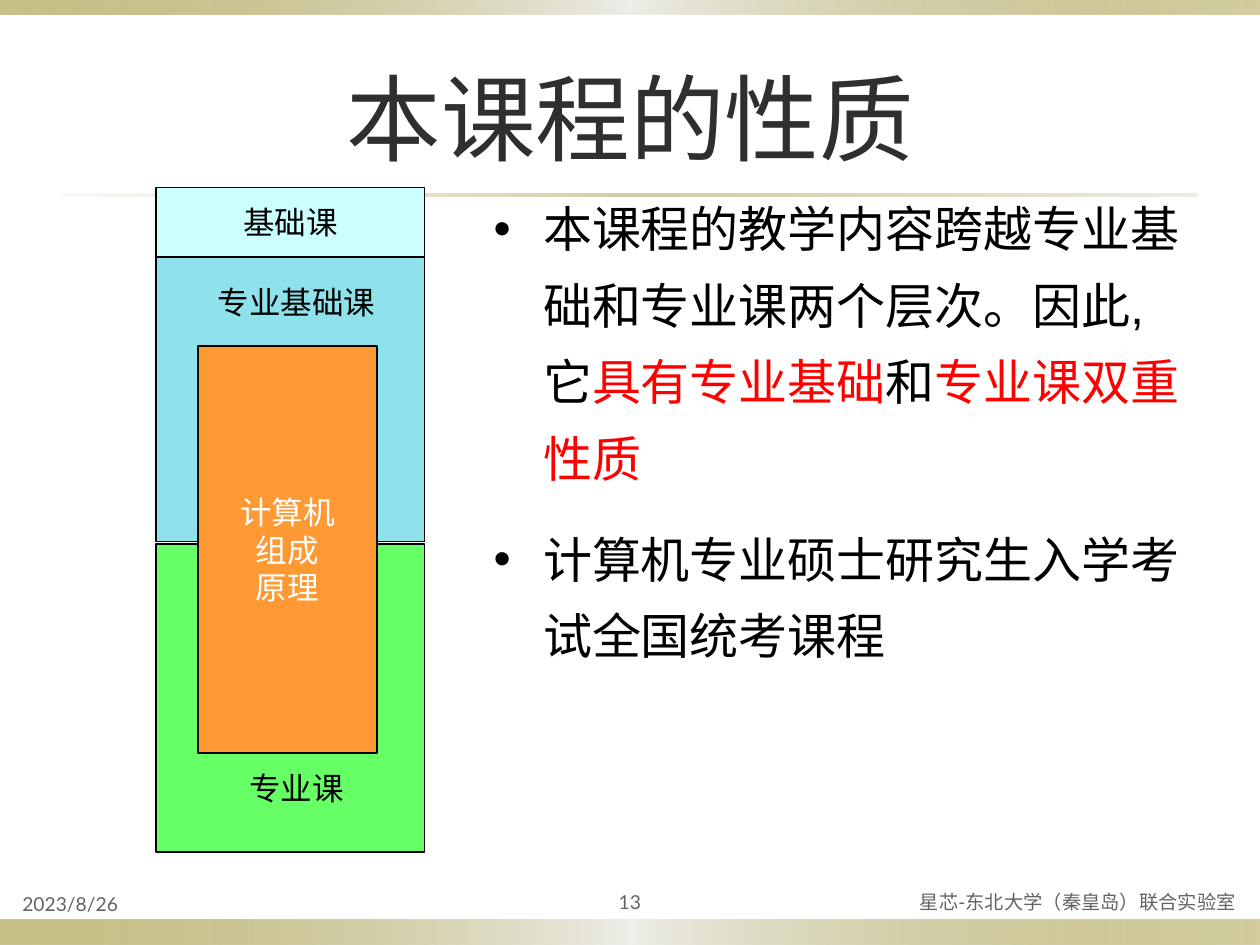
"""Build the slide on the nature of the course."""
from lxml import etree
from pptx import Presentation
from pptx.dml.color import RGBColor
from pptx.enum import shapes, text
from pptx.oxml import ns
from pptx.util import Cm, Pt

BLACK = RGBColor(0, 0, 0)
WHITE = RGBColor(255, 255, 255)
RED = RGBColor(255, 0, 0)
CHARCOAL = RGBColor(0x2F, 0x2F, 0x2F)
GREY = RGBColor(0x63, 0x63, 0x63)
OLIVE = RGBColor(0x91, 0x84, 0x15)
SAND = RGBColor(0xDC, 0xD9, 0xCC)
PEARL = RGBColor(0xEE, 0xED, 0xE8)
ICE = RGBColor(0xCC, 0xFF, 0xFF)
AQUA = RGBColor(0x8F, 0xE2, 0xEB)
GREEN = RGBColor(0x66, 0xFF, 0x66)
ORANGE = RGBColor(0xFF, 0x99, 0x33)

LEFT, CENTER, RIGHT = text.PP_ALIGN.LEFT, text.PP_ALIGN.CENTER, text.PP_ALIGN.RIGHT
MIDDLE, BOTTOM = text.MSO_ANCHOR.MIDDLE, text.MSO_ANCHOR.BOTTOM


class Deck:
    def __init__(self, prs, font="Lato"):
        self.font = font
        self.s = prs.slides.add_slide(prs.slide_layouts[5])

    def run(self, p, words, size, color, font=None):
        r = p.add_run()
        r.text = words
        r.font.size = Pt(size)
        r.font.name = font or self.font
        r.font.color.rgb = color

    def put_lines(self, tf, lines, size, color, align=CENTER, anchor=MIDDLE, wrap=False, font=None):
        tf.word_wrap = wrap
        tf.vertical_anchor = anchor
        for i, line in enumerate(lines):
            p = tf.add_paragraph() if i else tf.paragraphs[0]
            p.alignment = align
            self.run(p, line, size, color, font)

    def title(self, words, box):
        sp = self.s.shapes.title
        sp.left, sp.top, sp.width, sp.height = map(Cm, box)
        sp.text_frame.auto_size = text.MSO_AUTO_SIZE.NONE
        self.put_lines(sp.text_frame, [words], 54, CHARCOAL, wrap=True)

    def rect(self, box):
        sp = self.s.shapes.add_shape(shapes.MSO_SHAPE.RECTANGLE, *map(Cm, box))
        sp.shadow.inherit = False
        return sp

    def band(self, box, stops):
        sp = self.rect(box)
        sp.line.fill.background()
        sp.fill.gradient()
        sp.fill.gradient_angle = 0
        gs_list = sp.element.spPr.find(ns.qn("a:gradFill")).find(ns.qn("a:gsLst"))
        for old in list(gs_list):
            gs_list.remove(old)
        for pos, (color, opacity) in zip((0, 50, 100), stops):
            gs = etree.SubElement(gs_list, ns.qn("a:gs"), pos=str(pos * 1000))
            clr = etree.SubElement(gs, ns.qn("a:srgbClr"), val=str(color))
            etree.SubElement(clr, ns.qn("a:alpha"), val=str(opacity * 1000))

    def block(self, box, fill, lines=(), color=BLACK, font=None):
        sp = self.rect(box)
        sp.fill.solid()
        sp.fill.fore_color.rgb = fill
        sp.line.color.rgb = BLACK
        sp.line.width = Pt(1)
        self.put_lines(sp.text_frame, lines, 18, color, font=font)

    def label(self, words, box, size=18, color=BLACK, **style):
        sp = self.s.shapes.add_textbox(*map(Cm, box))
        self.put_lines(sp.text_frame, [words], size, color, **style)

    def bullets(self, box, items):
        tf = self.s.shapes.add_textbox(*map(Cm, box)).text_frame
        tf.word_wrap = True
        tf.auto_size = text.MSO_AUTO_SIZE.SHAPE_TO_FIT_TEXT
        for i, item in enumerate(items):
            p = tf.add_paragraph() if i else tf.paragraphs[0]
            p.line_spacing = 1.3
            p.space_before = Pt(14 if i else 0)
            pPr = p._p.get_or_add_pPr()
            pPr.set("marL", str(Cm(1)))
            pPr.set("indent", str(-Cm(1)))
            clr = etree.SubElement(pPr, ns.qn("a:buClr"))
            etree.SubElement(clr, ns.qn("a:srgbClr"), val=str(BLACK))
            etree.SubElement(pPr, ns.qn("a:buFont"), typeface="Arial")
            etree.SubElement(pPr, ns.qn("a:buChar"), char="•")
            for words, color in item:
                self.run(p, words, 28, color, "Arial")


def main():
    prs = Presentation()
    prs.slide_width, prs.slide_height = Cm(25.4), Cm(19.05)
    d = Deck(prs)

    edge = [(OLIVE, 50), (PEARL, 100), (OLIVE, 40)]
    d.band((0, 18.54, 25.4, 0.51), edge)
    d.band((0, 0, 25.4, 0.3), edge)
    d.band((1.27, 3.91, 22.86, 0.05), [(SAND, 20), (OLIVE, 40), (SAND, 50)])
    d.title("本课程的性质", (1.27, 0.76, 22.86, 3.18))

    foot = dict(size=11, color=GREY, wrap=True)
    d.label("2023/8/26", (0.2, 17.78, 8.89, 0.79), align=LEFT, anchor=BOTTOM, **foot)
    d.label("星芯-东北大学（秦皇岛）联合实验室", (14.81, 17.78, 10.36, 0.79), align=RIGHT, **foot)
    d.label("13", (11.43, 17.78, 2.54, 0.79), **foot)

    d.bullets((9.7, 3.53, 14.4, 10.19), [
        [("本课程的教学内容跨越专业基础和专业课两个层次。因此, 它", BLACK),
         ("具有专业基础", RED), ("和", BLACK), ("专业课双重性质", RED)],
        [("计算机专业硕士研究生入学考试全国统考课程", BLACK)],
    ])

    x, w = 3.15, 5.41
    d.block((x, 3.78, w, 1.4), ICE, ["基础课"])
    d.block((x, 5.18, w, 5.74), AQUA)
    d.block((x, 10.97, w, 6.2), GREEN)
    d.block((3.99, 6.98, 3.61, 8.2), ORANGE, ["计算机", "组成", "原理"], WHITE, "Noto Sans CJK JP")
    d.label("专业基础课", (3.18, 5.59, 5.59, 0.99))
    d.label("专业课", (3.18, 14.99, 5.59, 1.8))
    prs.save("out.pptx")


if __name__ == "__main__":
    main()
